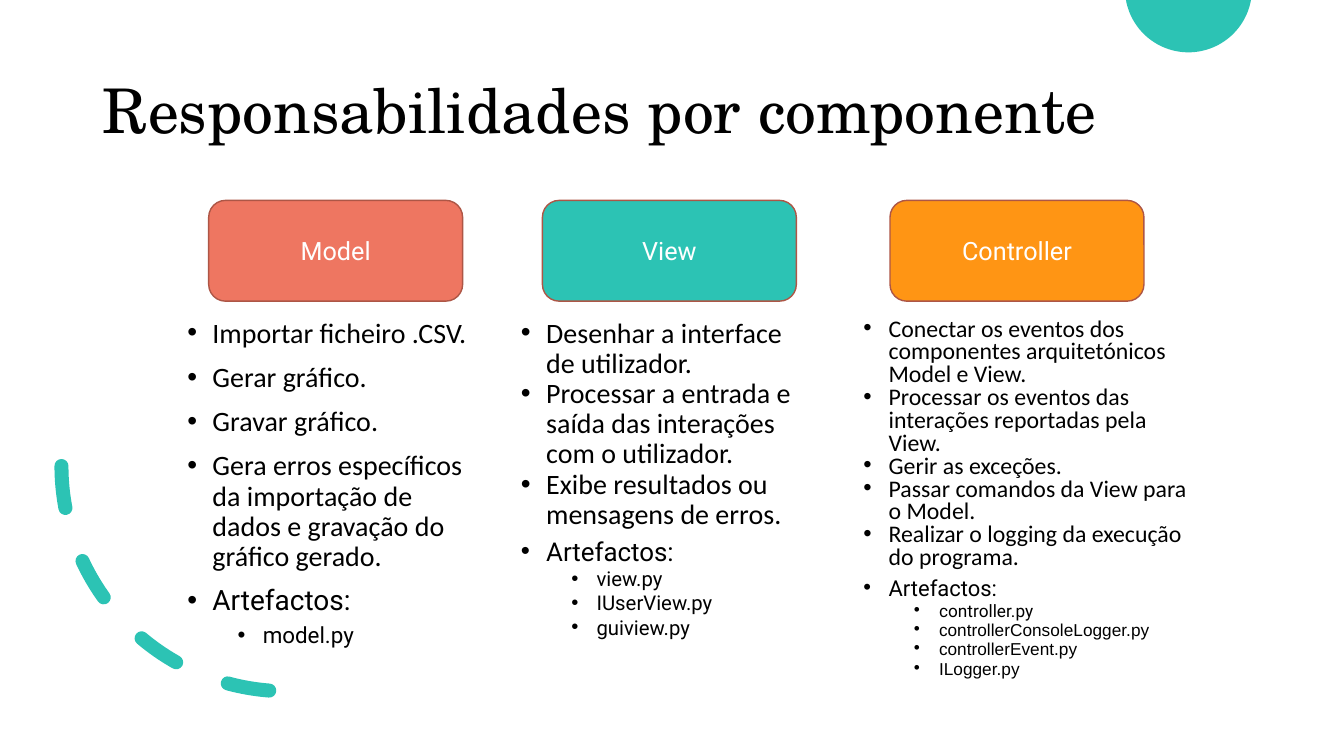
from math import asin, cos, pi, sin

from lxml.etree import SubElement
from pptx import Presentation
from pptx.dml.color import RGBColor
from pptx.enum.dml import MSO_LINE_DASH_STYLE as Dash
from pptx.enum.shapes import MSO_SHAPE as Shape
from pptx.enum.text import MSO_ANCHOR as Anchor, PP_ALIGN as Align
from pptx.oxml.ns import qn
from pptx.util import Cm, Pt

COLORS = {
    "black": "000000",
    "white": "FFFFFF",
    "teal": "2CC3B4",
    "coral": "EE7661",
    "orange": "FF9514",
    "border": "AD5646",
}

TITLE = "Responsabilidades por componente"
ARTEFACTS = "Artefactos:"

# Lengths in cm, text sizes and gaps in points
COMPONENTS = [
    {
        "name": "Model", "fill": "coral", "card_left": 5.26,
        "text_left": 4.47, "text_width": 7.95,
        "duties": [
            "Importar ficheiro .CSV.",
            "Gerar gráfico.",
            "Gravar gráfico.",
            "Gera erros específicos da importação de dados e gravação do gráfico gerado.",
        ],
        "files": [("model.py", "Roboto")],
        "sizes": (20, 20, 16), "spacing": (0.9, 0.9), "duty_gap": 10,
    },
    {
        "name": "View", "fill": "teal", "card_left": 13.67,
        "text_left": 12.88, "text_width": 7.92,
        "duties": [
            "Desenhar a interface de utilizador.",
            "Processar a entrada e saída das interações com o utilizador.",
            "Exibe resultados ou mensagens de erros.",
        ],
        "files": [("view.py", "Roboto"), ("IUserView.py", "Roboto"), ("guiview.py", "Roboto")],
        "sizes": (20, 18.5, 14.5), "spacing": (0.9, 0.7), "duty_gap": 0,
    },
    {
        "name": "Controller", "fill": "orange", "card_left": 22.43,
        "text_left": 21.51, "text_width": 8.76,
        "duties": [
            "Conectar os eventos dos componentes arquitetónicos Model e View.",
            "Processar os eventos das interações reportadas pela View.",
            "Gerir as exceções.",
            "Passar comandos da View para o Model.",
            "Realizar o logging da execução do programa.",
        ],
        "files": [
            ("controller.py", "Roboto"),
            ("controllerConsoleLogger.py", "Arial"),
            ("controllerEvent.py", "Arial"),
            ("ILogger.py", "Arial"),
        ],
        "sizes": (17, 15.7, 12.3), "spacing": (0.8, 0.6), "duty_gap": 0,
    },
]

CARD_TOP, CARD_WIDTH, CARD_HEIGHT = 5.05, 6.4, 2.54
TEXT_TOP, TEXT_HEIGHT = 7.91, 10.14
CIRCLE_X, CIRCLE_Y, CIRCLE_RADIUS = 29.95, -0.28, 1.6
CIRCLE_STEPS = 60


def color(name):
    return RGBColor.from_string(COLORS[name])


def add_run(paragraph, text, font_name, size, color_name="black"):
    run = paragraph.add_run()
    run.text = text
    run.font.name = font_name
    run.font.size = Pt(size)
    run.font.color.rgb = color(color_name)


def add_bullet(paragraph, level):
    properties = paragraph._p.get_or_add_pPr()
    properties.set("marL", str(Cm(0.635 + 1.27 * level)))
    properties.set("indent", str(-Cm(0.635)))
    bullet_color = SubElement(properties, qn("a:buClr"))
    SubElement(bullet_color, qn("a:srgbClr"), val=COLORS["black"])
    SubElement(properties, qn("a:buFont"), typeface="Arial")
    SubElement(properties, qn("a:buChar"), char="•")
    paragraph.level = level


def add_title(slide):
    box = slide.shapes.add_textbox(Cm(2.34), Cm(1.02), Cm(29.21), Cm(3.68))
    frame = box.text_frame
    frame.word_wrap = True
    frame.vertical_anchor = Anchor.MIDDLE
    paragraph = frame.paragraphs[0]
    paragraph.line_spacing = 0.9
    add_run(paragraph, TITLE, "TeX Gyre Schola", 44)


def add_corner_circle(slide):
    """Draw the part of the circle that lies below the top edge of the slide."""
    first = asin(-CIRCLE_Y / CIRCLE_RADIUS)
    angles = [first + (pi - 2 * first) * step / CIRCLE_STEPS for step in range(CIRCLE_STEPS + 1)]
    points = [
        (Cm(CIRCLE_X + CIRCLE_RADIUS * cos(angle)), Cm(CIRCLE_Y + CIRCLE_RADIUS * sin(angle)))
        for angle in angles
    ]
    builder = slide.shapes.build_freeform(*points[0])
    builder.add_line_segments(points[1:], close=True)
    circle = builder.convert_to_shape()
    circle.shadow.inherit = False
    circle.fill.solid()
    circle.fill.fore_color.rgb = color("teal")
    circle.line.fill.background()


def add_dashed_arc(slide):
    arc = slide.shapes.add_shape(Shape.ARC, Cm(1.55), Cm(6.07), Cm(11.35), Cm(11.35))
    arc.shadow.inherit = False
    arc.rotation = 270
    arc._element.spPr.find(qn("a:xfrm")).set("flipH", "1")
    arc.fill.background()
    arc.line.color.rgb = color("teal")
    arc.line.width = Pt(10)
    arc.line.dash_style = Dash.DASH
    arc._element.spPr.find(qn("a:ln")).set("cap", "rnd")


def add_card(slide, component):
    card = slide.shapes.add_shape(
        Shape.ROUNDED_RECTANGLE,
        Cm(component["card_left"]), Cm(CARD_TOP), Cm(CARD_WIDTH), Cm(CARD_HEIGHT),
    )
    card.shadow.inherit = False
    card.fill.solid()
    card.fill.fore_color.rgb = color(component["fill"])
    card.line.color.rgb = color("border")
    card.line.width = Pt(1)
    card.text_frame.vertical_anchor = Anchor.MIDDLE
    paragraph = card.text_frame.paragraphs[0]
    paragraph.alignment = Align.CENTER
    add_run(paragraph, component["name"], "Roboto", 18, "white")


def add_responsibilities(slide, component):
    duty_size, heading_size, file_size = component["sizes"]
    duty_spacing, file_spacing = component["spacing"]
    # Each row: text, font, size, level, line spacing, space before
    rows = [
        (duty, "Calibri", duty_size, 0, duty_spacing, component["duty_gap"])
        for duty in component["duties"]
    ]
    rows.append((ARTEFACTS, "Roboto", heading_size, 0, file_spacing, 10))
    rows += [
        (name, font_name, file_size, 1, file_spacing, 5)
        for name, font_name in component["files"]
    ]

    box = slide.shapes.add_textbox(
        Cm(component["text_left"]), Cm(TEXT_TOP), Cm(component["text_width"]), Cm(TEXT_HEIGHT)
    )
    frame = box.text_frame
    frame.word_wrap = True
    for index, (text, font_name, size, level, spacing, gap) in enumerate(rows):
        paragraph = frame.add_paragraph() if index else frame.paragraphs[0]
        add_bullet(paragraph, level)
        paragraph.line_spacing = spacing
        paragraph.space_before = Pt(gap if index else 0)
        add_run(paragraph, text, font_name, size)


def main():
    presentation = Presentation()
    presentation.slide_width = Cm(33.87)
    presentation.slide_height = Cm(19.05)
    slide = presentation.slides.add_slide(presentation.slide_layouts[6])
    add_title(slide)
    add_corner_circle(slide)
    add_dashed_arc(slide)
    for component in COMPONENTS:
        add_card(slide, component)
        add_responsibilities(slide, component)
    presentation.save("out.pptx")


if __name__ == "__main__":
    main()
